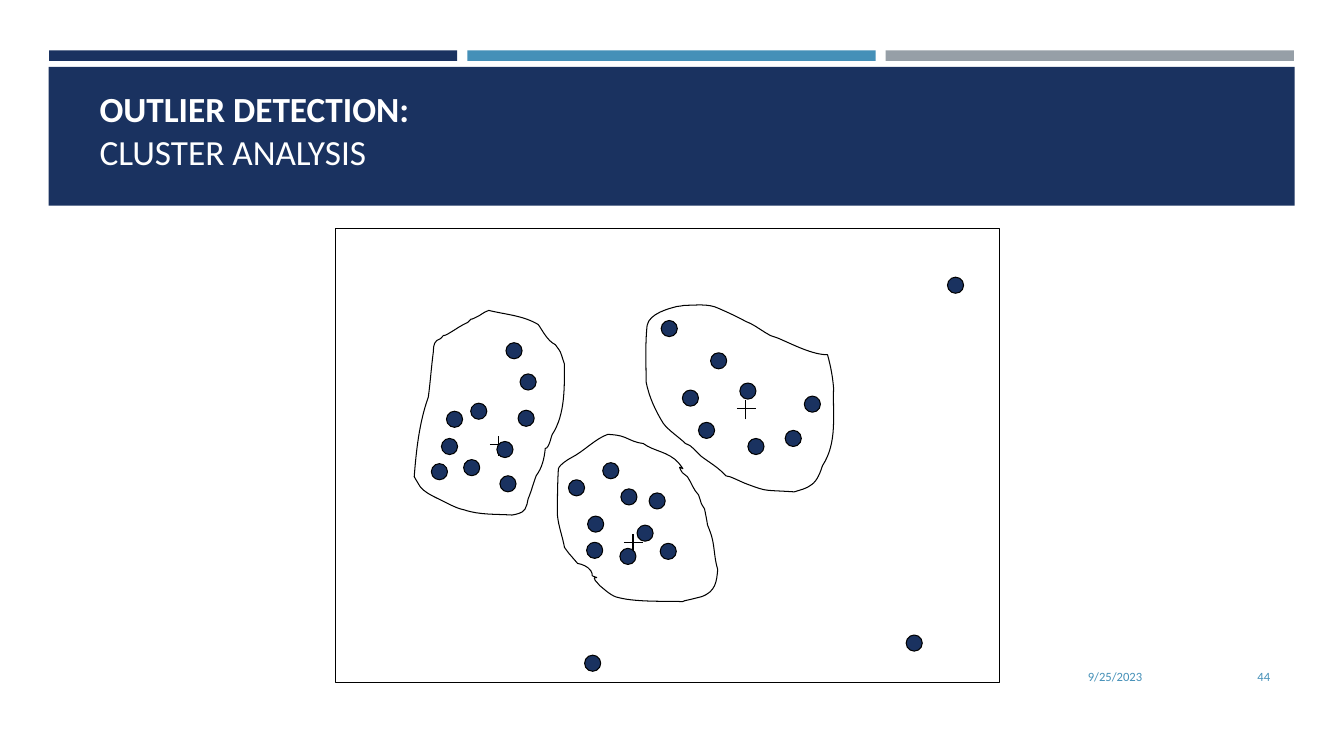
from lxml import etree
from pptx import Presentation
from pptx.dml.color import RGBColor
from pptx.enum.shapes import MSO_CONNECTOR, MSO_SHAPE
from pptx.enum.text import MSO_ANCHOR, PP_ALIGN
from pptx.oxml.ns import qn
from pptx.util import Pt

NAVY = RGBColor(0x1A, 0x32, 0x60)
BLUE = RGBColor(0x45, 0x90, 0xB8)
GREY = RGBColor(0x96, 0x9F, 0xA7)
WHITE = RGBColor(0xFF, 0xFF, 0xFF)
BLACK = RGBColor(0x00, 0x00, 0x00)

RECTANGLE = MSO_SHAPE.RECTANGLE
DOT = MSO_SHAPE.FLOWCHART_CONNECTOR
STRAIGHT = MSO_CONNECTOR.STRAIGHT
LEFT, RIGHT = PP_ALIGN.LEFT, PP_ALIGN.RIGHT
MIDDLE, BOTTOM = MSO_ANCHOR.MIDDLE, MSO_ANCHOR.BOTTOM

# The scatter plot is laid out in units of 0.72 pt (100 units = 72 pt).
UNIT = 0.72
DOT_SIZE = 16

CENTROIDS = [(628, 538), (740, 405), (495, 441)]

OUTLIERS = [(899, 630), (580, 650), (940, 275)]
LEFT_CLUSTER = [
    (460, 456), (438, 435), (493, 438), (467, 400), (428, 460),
    (443, 408), (496, 472), (514, 407), (516, 371), (502, 340),
]
RIGHT_CLUSTER = [
    (705, 350), (693, 419), (734, 380), (677, 387),
    (798, 393), (779, 427), (742, 435), (656, 318),
]
LOWER_CLUSTER = [
    (564, 476), (644, 489), (615, 544), (632, 521), (583, 512),
    (582, 538), (598, 459), (616, 485), (655, 539),
]

# Each outline is a start point, then Bezier segments of three points each.
RIGHT_OUTLINE = [
    (821, 352),
    (824, 363), (826, 373), (827, 385), (826, 412), (831, 439), (816, 462),
    (814, 468), (811, 477), (805, 481), (800, 485), (794, 486), (788, 488),
    (758, 486), (762, 488), (743, 481), (737, 479), (732, 476), (724, 473),
    (723, 473), (720, 472), (720, 472), (713, 464), (704, 459), (696, 453),
    (690, 448), (687, 442), (680, 440), (674, 434), (663, 427), (658, 420),
    (650, 407), (644, 394), (641, 379), (641, 360), (640, 342), (642, 323),
    (644, 311), (664, 306), (672, 304), (674, 304), (679, 303), (679, 303),
    (690, 303), (703, 301), (713, 306), (722, 310), (731, 314), (740, 319),
    (748, 322), (754, 327), (761, 331), (765, 334), (769, 334), (773, 336),
    (787, 342), (806, 352), (821, 352),
]
LOWER_OUTLINE = [
    (592, 573),
    (584, 570), (590, 573), (586, 566), (583, 562), (578, 560), (573, 559),
    (571, 556), (569, 555), (567, 552), (564, 549), (560, 543), (560, 543),
    (558, 532), (554, 522), (553, 511), (553, 496), (553, 481), (554, 465),
    (555, 461), (565, 455), (567, 454), (579, 448), (591, 435), (603, 431),
    (607, 431), (616, 432), (620, 434), (627, 437), (630, 439), (638, 440),
    (649, 448), (663, 448), (673, 459), (685, 474), (668, 455), (677, 469),
    (678, 470), (681, 472), (682, 473), (686, 479), (688, 486), (693, 491),
    (697, 502), (694, 497), (699, 505), (700, 510), (701, 515), (702, 521),
    (704, 526), (706, 531), (707, 536), (709, 546), (709, 555), (712, 565),
    (711, 577), (710, 587), (696, 592), (692, 593), (688, 594), (684, 595),
    (681, 595), (677, 597), (677, 597), (669, 596), (633, 598), (614, 593),
    (607, 592), (600, 585), (595, 581), (593, 578), (586, 573), (592, 573),
]
LEFT_OUTLINE = [
    (541, 445),
    (540, 455), (538, 464), (532, 472), (529, 480), (527, 488), (524, 495),
    (523, 499), (523, 502), (521, 505), (520, 506), (519, 507), (518, 508),
    (515, 510), (508, 511), (508, 511), (492, 510), (476, 511), (461, 506),
    (451, 504), (442, 498), (433, 494), (427, 491), (421, 488), (417, 483),
    (415, 480), (411, 473), (411, 473), (413, 447), (416, 419), (425, 394),
    (427, 379), (428, 364), (430, 349), (430, 342), (431, 338), (437, 336),
    (444, 329), (436, 336), (445, 331), (452, 327), (457, 323), (464, 320),
    (470, 314), (464, 319), (472, 315), (477, 313), (479, 310), (485, 308),
    (501, 312), (519, 313), (534, 322), (539, 329), (543, 338), (551, 342),
    (553, 345), (556, 348), (557, 352), (558, 355), (560, 361), (560, 361),
    (560, 383), (561, 411), (548, 431), (547, 432), (545, 445), (541, 445),
]


class ClusterSlide:
    font = "Calibri"
    stroke = Pt(0.75)

    def __init__(self, presentation):
        self.shapes = presentation.slides.add_slide(presentation.slide_layouts[6]).shapes

    def paint(self, shape, fill=None, outlined=False):
        shape.shadow.inherit = False
        if fill is None:
            shape.fill.background()
        else:
            shape.fill.solid()
            shape.fill.fore_color.rgb = fill
        if outlined:
            shape.line.color.rgb = BLACK
            shape.line.width = self.stroke
        else:
            shape.line.fill.background()

    def block(self, kind, left, top, width, height, fill=None, outlined=False):
        shape = self.shapes.add_shape(kind, Pt(left), Pt(top), Pt(width), Pt(height))
        self.paint(shape, fill, outlined)

    def text(self, lines, left, top, width, height, size, color, align, anchor):
        """Write (wording, bold) lines as one paragraph with line breaks."""
        frame = self.shapes.add_textbox(Pt(left), Pt(top), Pt(width), Pt(height)).text_frame
        frame.word_wrap = True
        frame.vertical_anchor = anchor
        paragraph = frame.paragraphs[0]
        paragraph.alignment = align
        for index, (wording, bold) in enumerate(lines):
            if index:
                paragraph.add_line_break()
            run = paragraph.add_run()
            run.text = wording
            run.font.name = self.font
            run.font.size = Pt(size)
            run.font.bold = bold
            run.font.color.rgb = color

    def dot(self, x, y):
        self.block(DOT, x * UNIT, y * UNIT, DOT_SIZE * UNIT, DOT_SIZE * UNIT, NAVY, True)

    def stroke_line(self, *ends):
        line = self.shapes.add_connector(STRAIGHT, *(Pt(end * UNIT) for end in ends))
        line.line.color.rgb = BLACK
        line.line.width = self.stroke
        etree.SubElement(line._element.spPr, qn("a:effectLst"))

    def cross(self, x, y):
        self.stroke_line(x - 9, y, x + 10, y)
        self.stroke_line(x, y + 11, x, y - 8)

    def outline(self, points):
        """Draw a closed curve, merging each three line points into a Bezier."""
        builder = self.shapes.build_freeform(*points[0], scale=Pt(UNIT))
        builder.add_line_segments(points[1:], close=True)
        shape = builder.convert_to_shape()
        self.paint(shape, outlined=True)
        segments = list(shape._element.iter(qn("a:lnTo")))
        for first in range(0, len(points) - 1, 3):
            curve = etree.Element(qn("a:cubicBezTo"))
            segments[first].addprevious(curve)
            for segment in segments[first:first + 3]:
                curve.append(segment[0])
                segment.getparent().remove(segment)


def main():
    presentation = Presentation()
    presentation.slide_width, presentation.slide_height = Pt(960), Pt(540)
    slide = ClusterSlide(presentation)

    for column, color in enumerate((NAVY, BLUE, GREY)):
        slide.block(RECTANGLE, 35 + 298.8 * column, 36, 291.6, 7.5, color)
    slide.block(RECTANGLE, 34.8, 47.8, 890, 99.2, NAVY)
    slide.text([("OUTLIER DETECTION:", True), ("CLUSTER ANALYSIS", False)],
               64, 78.5, 342, 48.2, 25.2, WHITE, LEFT, BOTTOM)

    slide.block(RECTANGLE, 240, 163.4, 474, 324, outlined=True)
    for centroid in CENTROIDS:
        slide.cross(*centroid)
    for position in OUTLIERS + LEFT_CLUSTER + RIGHT_CLUSTER + LOWER_CLUSTER:
        slide.dot(*position)
    for points in (RIGHT_OUTLINE, LOWER_OUTLINE, LEFT_OUTLINE):
        slide.outline(points)

    for wording, left, width in (("9/25/2023", 599, 224), ("44", 831.6, 82.8)):
        slide.text([(wording, False)], left, 468.7, width, 28.8, 9, BLUE, RIGHT, MIDDLE)

    presentation.save("out.pptx")


if __name__ == "__main__":
    main()
